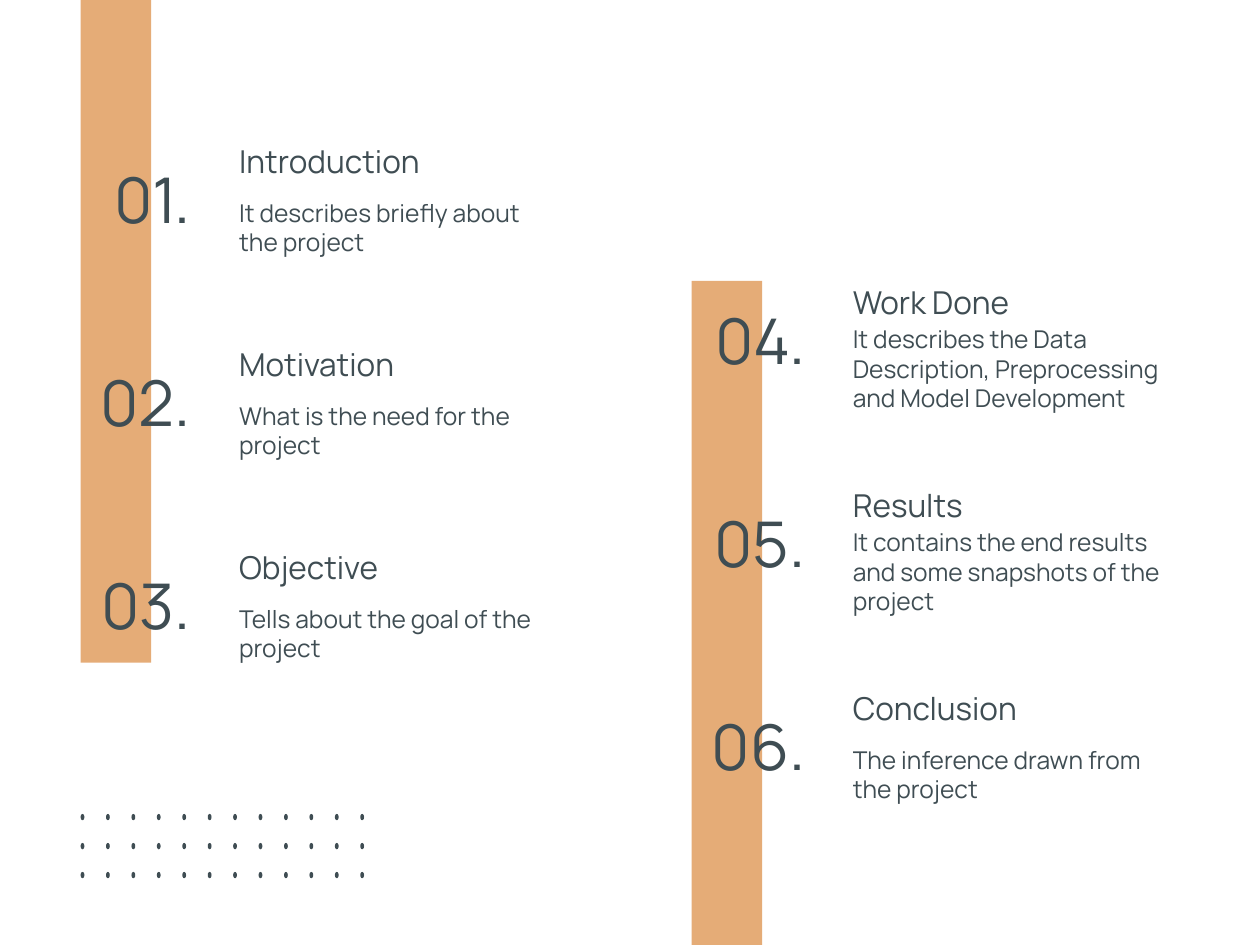
import pptx
import pptx.dml.color
import pptx.enum.shapes
import pptx.enum.text
import pptx.util

Inches = pptx.util.Inches
Anchor = pptx.enum.text.MSO_ANCHOR
Align = pptx.enum.text.PP_ALIGN
Shape = pptx.enum.shapes.MSO_SHAPE

ORANGE = pptx.dml.color.RGBColor(0xE5, 0xAC, 0x77)
SLATE = pptx.dml.color.RGBColor(0x3F, 0x4D, 0x53)

ROW_PITCH = 1.61
COLUMNS = [
    (0.17, 1.8, 0.93, [
        ("01.", "Introduction", "It describes briefly about the project"),
        ("02.", "Motivation", "What is the need for the project"),
        ("03.", "Objective", "Tells about the goal of the project"),
    ]),
    (5.05, 6.67, 2.05, [
        ("04.", "Work Done", "It describes the Data Description, Preprocessing and Model Development"),
        ("05.", "Results", "It contains the end results and some snapshots of the project"),
        ("06.", "Conclusion", "The inference drawn from the project"),
    ]),
]


class AgendaSlide:
    font_name = "Manrope"

    def __init__(self, slide):
        self.slide = slide

    def fill_shape(self, kind, left, top, width, height, color):
        shape = self.slide.shapes.add_shape(
            kind, Inches(left), Inches(top), Inches(width), Inches(height))
        shape.shadow.inherit = False
        shape.fill.solid()
        shape.fill.fore_color.rgb = color
        shape.line.fill.background()

    def text(self, content, left, top, width, height, size, anchor, align=Align.LEFT):
        box = self.slide.shapes.add_textbox(
            Inches(left), Inches(top), Inches(width), Inches(height))
        frame = box.text_frame
        frame.word_wrap = True
        frame.vertical_anchor = anchor
        frame.margin_left = frame.margin_right = Inches(0.1)
        frame.margin_top = frame.margin_bottom = Inches(0.1)
        paragraph = frame.paragraphs[0]
        paragraph.text = content
        paragraph.alignment = align
        paragraph.font.name = self.font_name
        paragraph.font.size = pptx.util.Pt(size)
        paragraph.font.color.rgb = SLATE

    def bar(self, left, top, height):
        self.fill_shape(Shape.RECTANGLE, left, top, 0.56, height, ORANGE)

    def entry(self, number_left, text_left, top, number, title, description):
        self.text(number, number_left, top + 0.25, 1.44, 0.79, 36, Anchor.MIDDLE, Align.RIGHT)
        self.text(title, text_left, top, 3.07, 0.6, 18, Anchor.BOTTOM)
        self.text(description, text_left, top + 0.48, 2.7, 0.79, 14, Anchor.MIDDLE)

    def dot_grid(self, left, top, columns, rows, span, row_pitch):
        for row in range(rows):
            for column in range(columns):
                self.fill_shape(Shape.OVAL, left + column * span / (columns - 1),
                                top + row * row_pitch, 0.03, 0.05, SLATE)


def main():
    presentation = pptx.Presentation()
    presentation.slide_width = Inches(10)
    presentation.slide_height = Inches(7.5)
    agenda = AgendaSlide(presentation.slides.add_slide(presentation.slide_layouts[6]))
    agenda.bar(0.64, 0, 5.26)
    agenda.bar(5.49, 2.23, 5.41)
    for number_left, text_left, top, entries in COLUMNS:
        for row, entry in enumerate(entries):
            agenda.entry(number_left, text_left, top + row * ROW_PITCH, *entry)
    agenda.dot_grid(0.64, 6.46, columns=12, rows=3, span=2.22, row_pitch=0.23)
    presentation.save("out.pptx")


if __name__ == "__main__":
    main()
